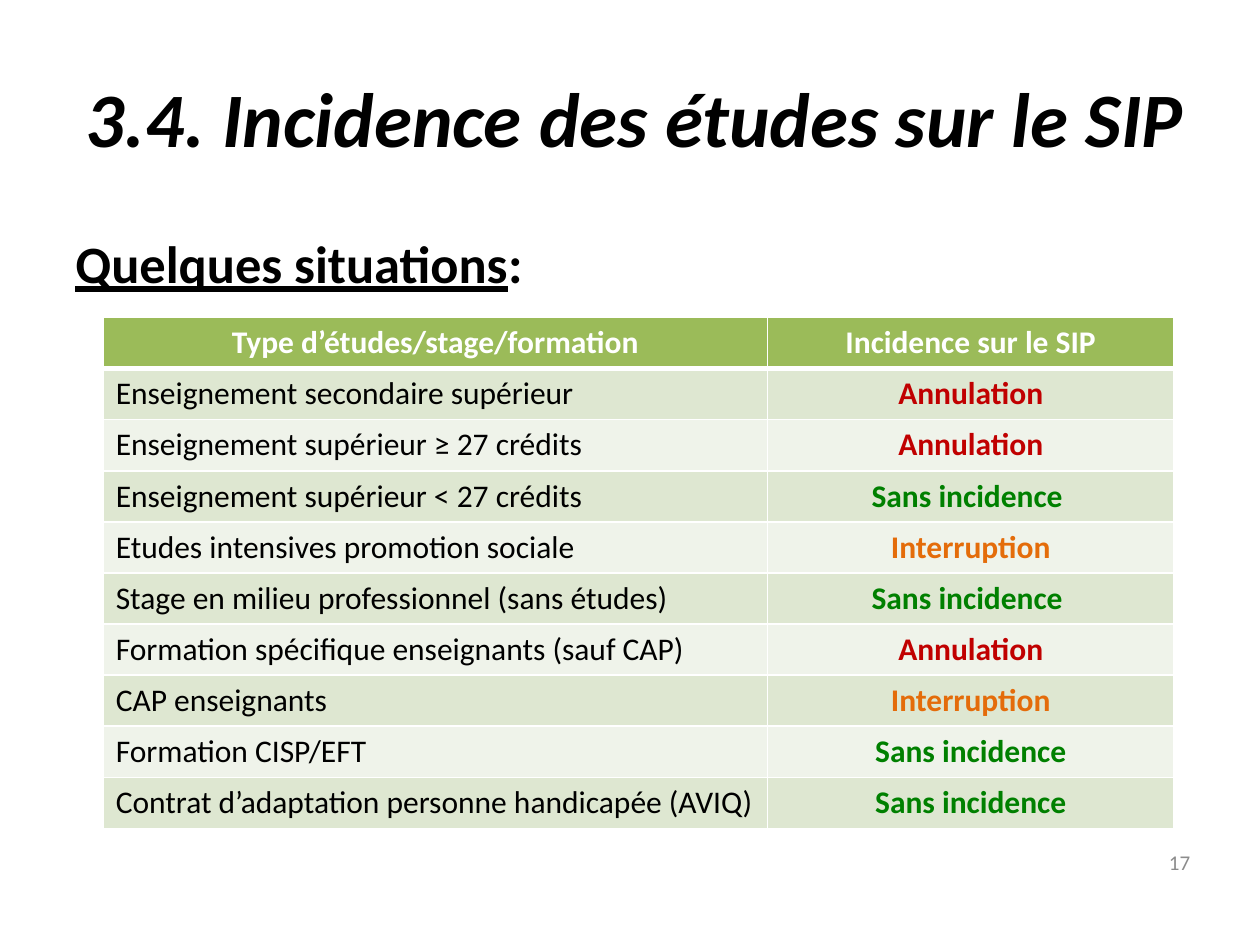
from lxml.etree import SubElement
from pptx import Presentation
from pptx.dml.color import RGBColor
from pptx.enum.text import MSO_ANCHOR, PP_ALIGN
from pptx.oxml.ns import qn
from pptx.util import Cm, Pt

COLOURS = {
    "black": "000000", "white": "FFFFFF", "grey": "8C8C8C",
    "header": "9BBB59", "dark band": "DEE7D1", "light band": "EFF3EA",
    "Annulation": "C00000", "Sans incidence": "008000", "Interruption": "E46C0A",
}
HEADINGS = ("Type d’études/stage/formation", "Incidence sur le SIP")
SITUATIONS = [
    ("Enseignement secondaire supérieur", "Annulation"),
    ("Enseignement supérieur ≥ 27 crédits", "Annulation"),
    ("Enseignement supérieur < 27 crédits", "Sans incidence "),
    ("Etudes intensives promotion sociale", "Interruption"),
    ("Stage en milieu professionnel (sans études)", "Sans incidence "),
    ("Formation spécifique enseignants (sauf CAP)", "Annulation"),
    ("CAP enseignants", "Interruption"),
    ("Formation CISP/EFT", "Sans incidence"),
    ("Contrat d’adaptation personne handicapée (AVIQ)", "Sans incidence"),
]


def rgb(name):
    return RGBColor.from_string(COLOURS[name])


def add_text(paragraph, text, size=18, colour="black", bold=False, italic=False,
             underline=False, align=PP_ALIGN.LEFT, font_name="Calibri"):
    paragraph.alignment = align
    run = paragraph.add_run()
    run.text = text
    font = run.font
    font.name, font.size = font_name, Pt(size)
    font.bold, font.italic, font.underline = bold, italic, underline
    font.color.rgb = rgb(colour)


def set_borders(cell, top=1, bottom=1):
    """Draw white cell borders; must run before the cell gets its fill."""
    properties = cell._tc.get_or_add_tcPr()
    for side, width in (("L", 1), ("R", 1), ("T", top), ("B", bottom)):
        line = SubElement(properties, qn(f"a:ln{side}"), w=str(Pt(width)))
        fill = SubElement(line, qn("a:solidFill"))
        SubElement(fill, qn("a:srgbClr"), val=COLOURS["white"])


class SlideBuilder:
    """Holds the current slide and the table style."""

    header_line = 3
    bands = ("light band", "dark band")

    def __init__(self, slide):
        self.slide = slide

    def text_box(self, left, top, width, height, anchor=MSO_ANCHOR.TOP):
        """Add a wrapping box and return its first paragraph."""
        shape = self.slide.shapes.add_textbox(Cm(left), Cm(top), Cm(width), Cm(height))
        shape.text_frame.word_wrap = True
        shape.text_frame.vertical_anchor = anchor
        return shape.text_frame.paragraphs[0]

    def table(self, left, top, column_widths, row_height, headings, rows):
        row_count = len(rows) + 1
        table = self.slide.shapes.add_table(
            row_count, len(headings), Cm(left), Cm(top),
            Cm(sum(column_widths)), Cm(row_height * row_count)).table
        for column, width in zip(table.columns, column_widths):
            column.width = Cm(width)
        for index, texts in enumerate((headings, *rows)):
            table.rows[index].height = Cm(row_height)
            for column, text in enumerate(texts):
                self.table_cell(table.cell(index, column), text, index, column)

    def table_cell(self, cell, text, row, column):
        set_borders(cell, top=self.header_line if row == 1 else 1,
                    bottom=self.header_line if row == 0 else 1)
        cell.fill.solid()
        cell.fill.fore_color.rgb = rgb("header" if row == 0 else self.bands[row % 2])
        paragraph = cell.text_frame.paragraphs[0]
        if row == 0:
            add_text(paragraph, text, colour="white", bold=True, align=PP_ALIGN.CENTER)
        elif column == 0:
            add_text(paragraph, text)
        else:
            add_text(paragraph, text, colour=text.strip(), bold=True,
                     align=PP_ALIGN.CENTER)


def main():
    presentation = Presentation()
    presentation.slide_width, presentation.slide_height = Cm(25.4), Cm(19.05)
    builder = SlideBuilder(presentation.slides.add_slide(presentation.slide_layouts[6]))

    title = builder.text_box(1.27, 0.76, 22.86, 3.18, MSO_ANCHOR.MIDDLE)
    add_text(title, "3.4. Incidence des études sur le SIP", size=44, bold=True,
             italic=True, align=PP_ALIGN.RIGHT)

    subtitle = builder.text_box(1.27, 4.45, 21.95, 12.57)
    subtitle.line_spacing = 1.07
    subtitle.space_after = Pt(6)
    add_text(subtitle, "Quelques situations", size=30, bold=True, underline=True)
    add_text(subtitle, ":", size=30, bold=True)

    page_number = builder.text_box(23.22, 16.87, 1.12, 1.02, MSO_ANCHOR.MIDDLE)
    add_text(page_number, "17", size=12, colour="grey", align=PP_ALIGN.CENTER)

    builder.table(2.08, 6.4, (13.39, 8.2), 1.03, HEADINGS, SITUATIONS)
    presentation.save("out.pptx")


if __name__ == "__main__":
    main()
